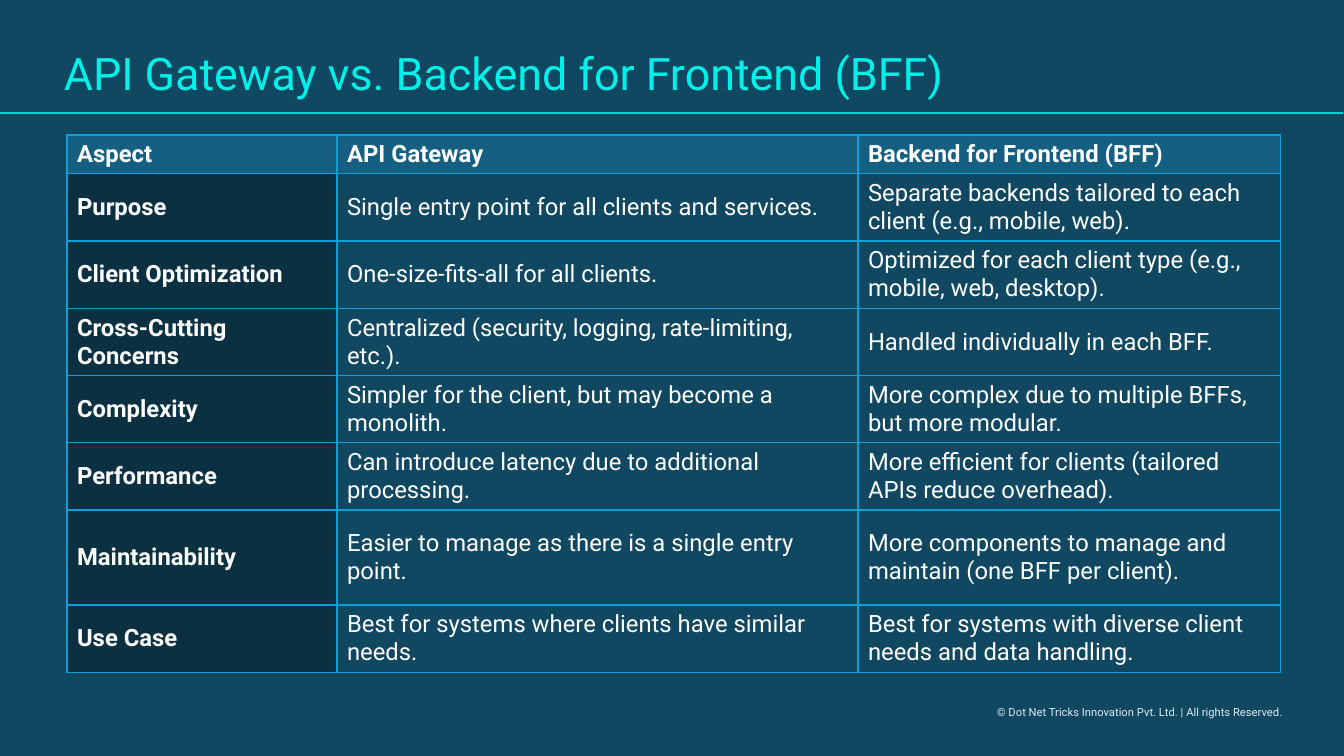
from lxml import etree
from pptx import Presentation
from pptx.dml.color import RGBColor
from pptx.enum.shapes import MSO_CONNECTOR
from pptx.enum.text import MSO_ANCHOR
from pptx.oxml.ns import qn
from pptx.util import Pt

STRAIGHT = MSO_CONNECTOR.STRAIGHT
MIDDLE = MSO_ANCHOR.MIDDLE

# Content
TITLE = "API Gateway vs. Backend for Frontend (BFF)"
COPYRIGHT = "© Dot Net Tricks Innovation Pvt. Ltd. | All rights Reserved."
COMPARISON = [
    ("Aspect", "API Gateway", "Backend for Frontend (BFF)"),
    ("Purpose", "Single entry point for all clients and services.",
     "Separate backends tailored to each client (e.g., mobile, web)."),
    ("Client Optimization", "One-size-fits-all for all clients.",
     "Optimized for each client type (e.g., mobile, web, desktop)."),
    ("Cross-Cutting Concerns", "Centralized (security, logging, rate-limiting, etc.).",
     "Handled individually in each BFF."),
    ("Complexity", "Simpler for the client, but may become a monolith.",
     "More complex due to multiple BFFs, but more modular."),
    ("Performance", "Can introduce latency due to additional processing.",
     "More efficient for clients (tailored APIs reduce overhead)."),
    ("Maintainability", "Easier to manage as there is a single entry point.",
     "More components to manage and maintain (one BFF per client)."),
    ("Use Case", "Best for systems where clients have similar needs.",
     "Best for systems with diverse client needs and data handling."),
]
COLORS = {
    "background": "104862", "title": "00F0EA", "rule": "00D1CF",
    "header": "156082", "aspect": "0B3041", "border": "0F9ED5",
    "text": "FFFFFF", "copyright": "DCEAF7",
}
FONT = "Roboto"

# Layout, in px
SLIDE_W, SLIDE_H = 1344, 756
EMU_PER_PX = 12192000 / SLIDE_W
TABLE_LEFT, TABLE_TOP = 67, 135
COLUMN_WIDTHS = [270, 521, 423]
HEADER_H, ROW_H, TALL_ROW_H = 38, 67, 95
ROW_HEIGHTS = [HEADER_H] + [ROW_H] * 5 + [TALL_ROW_H, ROW_H]


def px(length):
    return round(length * EMU_PER_PX)


def color(name):
    return RGBColor.from_string(COLORS[name])


def write(frame, text, size, color_name, bold=False):
    paragraph = frame.paragraphs[0]
    run = paragraph.add_run()
    run.text = text
    run.font.name = FONT
    run.font.size = Pt(size)
    run.font.bold = bold
    run.font.color.rgb = color(color_name)
    return paragraph


def add_text(slide, box, text, size, color_name, wrap):
    frame = slide.shapes.add_textbox(*map(px, box)).text_frame
    frame.word_wrap = wrap
    frame.vertical_anchor = MIDDLE
    return write(frame, text, size, color_name)


def add_borders(cell):
    properties = cell._tc.get_or_add_tcPr()
    for side in ("a:lnL", "a:lnR", "a:lnT", "a:lnB"):
        line = etree.SubElement(properties, qn(side), w=str(Pt(1)))
        fill = etree.SubElement(line, qn("a:solidFill"))
        etree.SubElement(fill, qn("a:srgbClr"), val=COLORS["border"])


def add_comparison(slide):
    table = slide.shapes.add_table(
        len(COMPARISON), len(COLUMN_WIDTHS), px(TABLE_LEFT), px(TABLE_TOP),
        px(sum(COLUMN_WIDTHS)), px(sum(ROW_HEIGHTS))).table
    table.horz_banding = False
    for column, width in zip(table.columns, COLUMN_WIDTHS):
        column.width = px(width)
    for row, height in zip(table.rows, ROW_HEIGHTS):
        row.height = px(height)

    for r, entries in enumerate(COMPARISON):
        for c, entry in enumerate(entries):
            cell = table.cell(r, c)
            cell.vertical_anchor = MIDDLE
            add_borders(cell)
            if r == 0 or c == 0:
                cell.fill.solid()
                cell.fill.fore_color.rgb = color("header" if r == 0 else "aspect")
            else:
                cell.fill.background()
            write(cell.text_frame, entry, 17, "text", bold=r == 0 or c == 0)


def main():
    deck = Presentation()
    deck.slide_width, deck.slide_height = px(SLIDE_W), px(SLIDE_H)
    slide = deck.slides.add_slide(deck.slide_layouts[6])
    slide.background.fill.solid()
    slide.background.fill.fore_color.rgb = color("background")

    # Copyright line
    add_text(slide, (987, 700, 307, 24), COPYRIGHT, 8, "copyright", wrap=False)

    # Rule under the title
    rule = slide.shapes.add_connector(STRAIGHT, px(-1), px(113), px(1343), px(113))
    rule.line.color.rgb = color("rule")
    rule.line.width = Pt(2)
    etree.SubElement(rule._element.spPr, qn("a:effectLst"))

    # Comparison table
    add_comparison(slide)

    # Title
    title = add_text(slide, (54, 47, 1226, 58), TITLE, 32, "title", wrap=True)
    title.line_spacing = 0.9

    deck.save("out.pptx")


if __name__ == "__main__":
    main()
